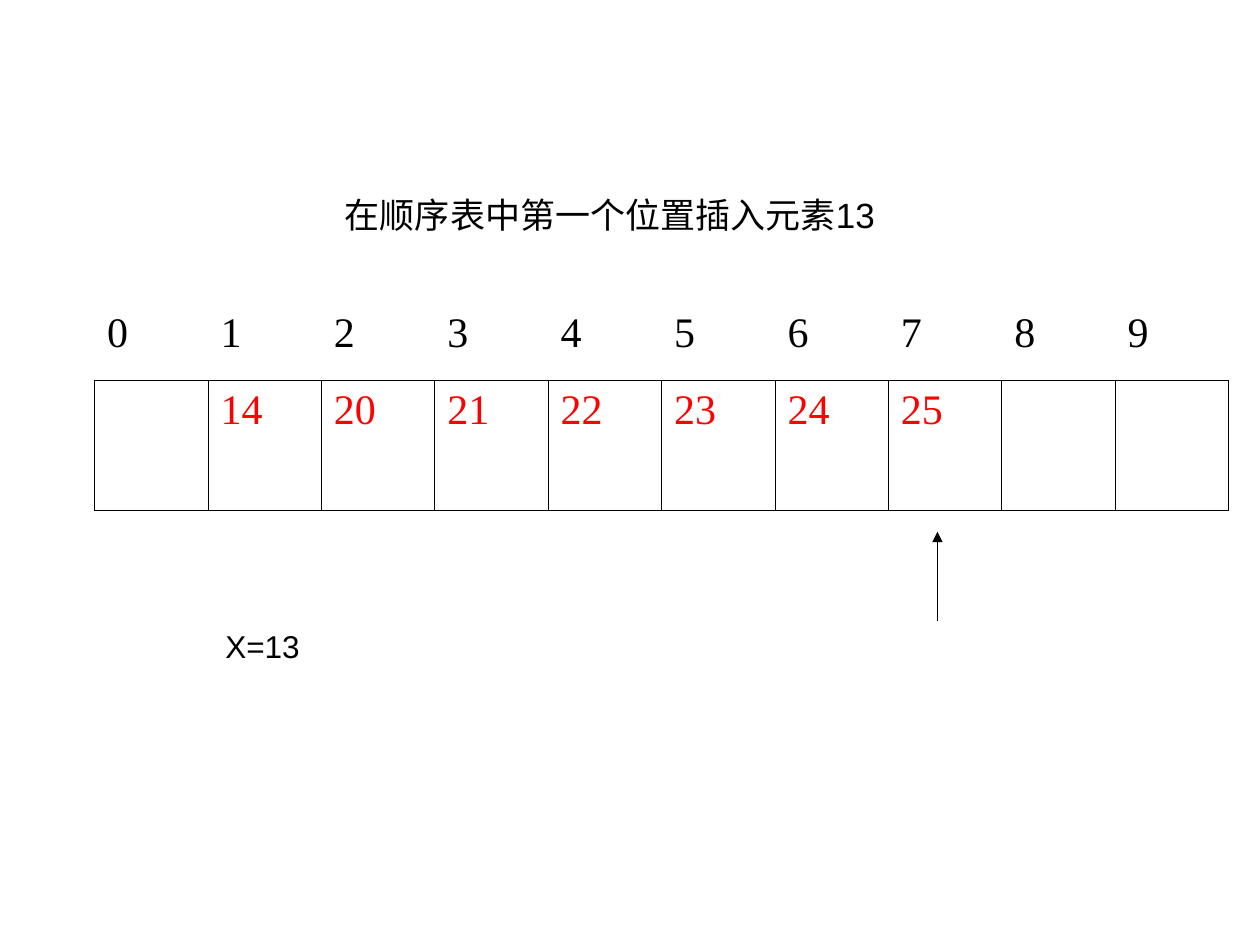
"""Builds a slide showing an insertion at the first position of a sequential list."""
import lxml.etree
import pptx
import pptx.dml.color
import pptx.enum.shapes
import pptx.enum.text
import pptx.oxml.ns
import pptx.util

Inches = pptx.util.Inches
Pt = pptx.util.Pt
qn = pptx.oxml.ns.qn
COLOURS = {"ink": "000000", "value": "FF0000"}
INDICES = [str(index) for index in range(10)]
VALUES = ["", "14", "20", "21", "22", "23", "24", "25", "", ""]


class ListSlide:
    def __init__(self, deck):
        self.slide = deck.slides.add_slide(deck.slide_layouts[5])
        self.border_width = Pt(0.45)

    def style(self, para, size, font="Arial", colour="ink"):
        for span in para.runs:
            span.font.size = Pt(size)
            span.font.name = font
            span.font.color.rgb = pptx.dml.color.RGBColor.from_string(COLOURS[colour])

    def title(self, text, left, top, width, height):
        box = self.slide.shapes.title
        box.left, box.top = Inches(left), Inches(top)
        box.width, box.height = Inches(width), Inches(height)
        frame = box.text_frame
        frame.text = text
        frame.vertical_anchor = pptx.enum.text.MSO_ANCHOR.MIDDLE
        frame.paragraphs[0].alignment = pptx.enum.text.PP_ALIGN.CENTER
        self.style(frame.paragraphs[0], 20)

    def label(self, text, left, top, width, height):
        box = self.slide.shapes.add_textbox(
            Inches(left), Inches(top), Inches(width), Inches(height))
        box.text_frame.word_wrap = True
        box.text_frame.text = text
        self.style(box.text_frame.paragraphs[0], 18)

    def border(self, cell, visible_sides):
        properties = cell._tc.get_or_add_tcPr()
        for position, side in enumerate("LRTB"):
            line = lxml.etree.Element(qn("a:ln" + side), w=str(self.border_width))
            if side in visible_sides:
                fill = lxml.etree.SubElement(line, qn("a:solidFill"))
                lxml.etree.SubElement(fill, qn("a:srgbClr"), val=COLOURS["ink"])
            else:
                lxml.etree.SubElement(line, qn("a:noFill"))
            properties.insert(position, line)

    def table(self, rows, left, top, width, heights):
        table = self.slide.shapes.add_table(
            len(rows), len(rows[0][0]), Inches(left), Inches(top),
            Inches(width), Inches(sum(heights))).table
        table.first_row = table.horz_banding = False
        for row, (texts, colour, sides) in enumerate(rows):
            table.rows[row].height = Inches(heights[row])
            for column, text in enumerate(texts):
                cell = table.cell(row, column)
                cell.fill.background()
                self.border(cell, sides)
                if text:
                    cell.text_frame.text = text
                    self.style(cell.text_frame.paragraphs[0], 24, "Times New Roman", colour)

    def arrow(self, left, bottom, top):
        arrow = self.slide.shapes.add_connector(
            pptx.enum.shapes.MSO_CONNECTOR.STRAIGHT,
            Inches(left), Inches(bottom), Inches(left), Inches(top))
        arrow.line.color.rgb = pptx.dml.color.RGBColor.from_string(COLOURS["ink"])
        arrow.line.width = Pt(0.75)
        lxml.etree.SubElement(arrow.line._get_or_add_ln(), qn("a:tailEnd"), type="triangle")
        lxml.etree.SubElement(arrow._element.spPr, qn("a:effectLst"))


def main():
    deck = pptx.Presentation()
    deck.slide_width, deck.slide_height = Inches(10), Inches(7.5)
    page = ListSlide(deck)
    page.table([(INDICES, "ink", "B"), (VALUES, "value", "LRTB")],
               0.75, 2.41, 9, [0.61, 1.03])
    page.title("在顺序表中第一个位置插入元素13", 0.59, 1.39, 8.5, 0.63)
    page.label("X=13", 1.69, 4.93, 2.68, 0.4)
    page.arrow(7.44, 4.93, 4.22)
    deck.save("out.pptx")


if __name__ == "__main__":
    main()
